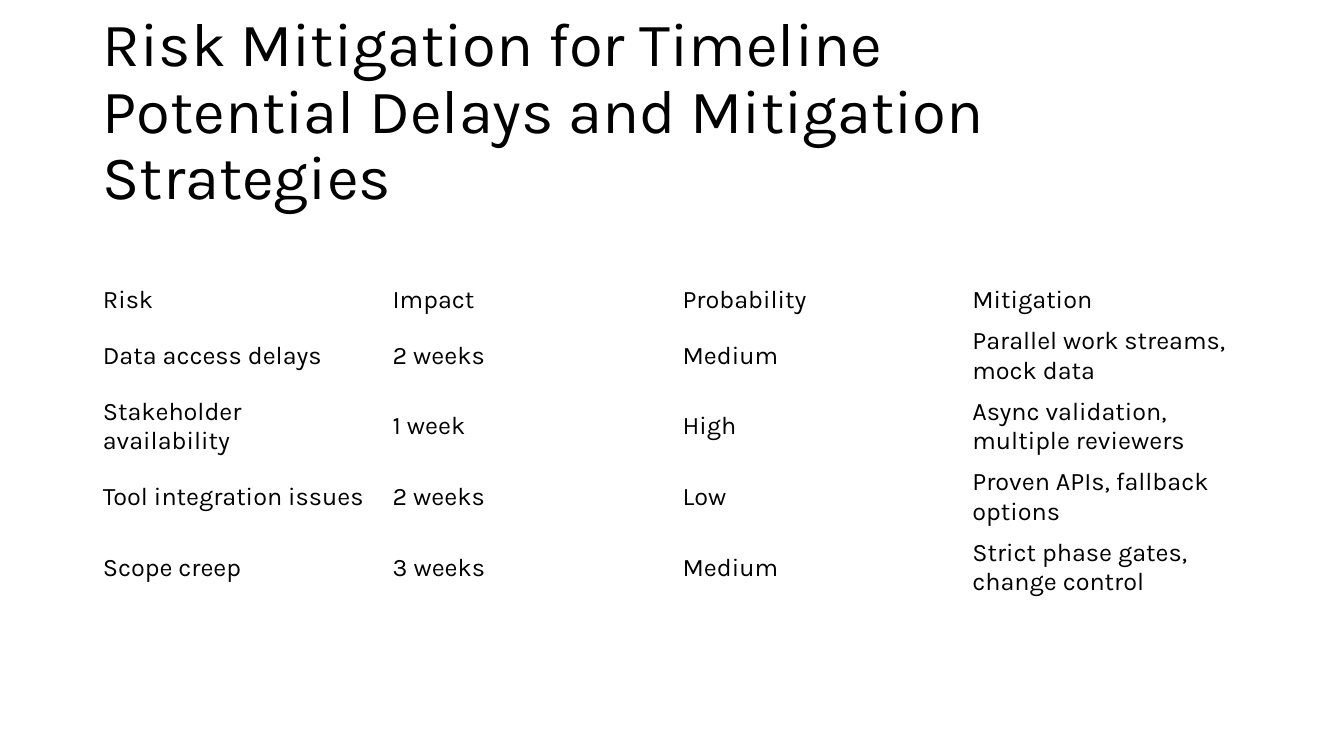
from dataclasses import dataclass

import pptx
import pptx.dml.color
import pptx.enum.text
import pptx.util

Inches = pptx.util.Inches
MIDDLE = pptx.enum.text.MSO_ANCHOR.MIDDLE


@dataclass(frozen=True)
class Theme:
    font: str = "Karla"
    ink: str = "000000"
    paper: str = "FFFFFF"
    title_size: int = 44
    table_size: int = 18


theme = Theme()


def style_text(para, size):
    para.font.name = theme.font
    para.font.size = pptx.util.Pt(size)
    para.font.color.rgb = pptx.dml.color.RGBColor.from_string(theme.ink)


deck = pptx.Presentation()
deck.slide_width = Inches(13.33)
deck.slide_height = Inches(7.5)
page = deck.slides.add_slide(deck.slide_layouts[6])
page.background.fill.solid()
page.background.fill.fore_color.rgb = pptx.dml.color.RGBColor.from_string(theme.paper)

left, width = Inches(0.92), Inches(11.5)

# Title
title_box = page.shapes.add_textbox(left, Inches(0.4), width, Inches(1.45))
title_frame = title_box.text_frame
title_frame.word_wrap = True
title_frame.vertical_anchor = MIDDLE
title = title_frame.paragraphs[0]
title.text = "Risk Mitigation for Timeline\vPotential Delays and Mitigation Strategies"
title.line_spacing = 0.9
style_text(title, theme.title_size)

# Risk table
risks = [
    ("Risk", "Impact", "Probability", "Mitigation"),
    ("Data access delays", "2 weeks", "Medium", "Parallel work streams, mock data"),
    ("Stakeholder availability", "1 week", "High", "Async validation, multiple reviewers"),
    ("Tool integration issues", "2 weeks", "Low", "Proven APIs, fallback options"),
    ("Scope creep", "3 weeks", "Medium", "Strict phase gates, change control"),
]
header_height, risk_height = Inches(0.39), Inches(0.69)
table_height = header_height + risk_height * (len(risks) - 1)
table = page.shapes.add_table(
    len(risks), len(risks[0]), left, Inches(2.78), width, table_height
).table
table.first_row = False
table.horz_banding = False

for row_index, risk in enumerate(risks):
    table.rows[row_index].height = risk_height if row_index else header_height
    for column_index, wording in enumerate(risk):
        cell = table.cell(row_index, column_index)
        cell.text = wording
        cell.fill.background()
        cell.vertical_anchor = MIDDLE
        style_text(cell.text_frame.paragraphs[0], theme.table_size)

deck.save("out.pptx")
